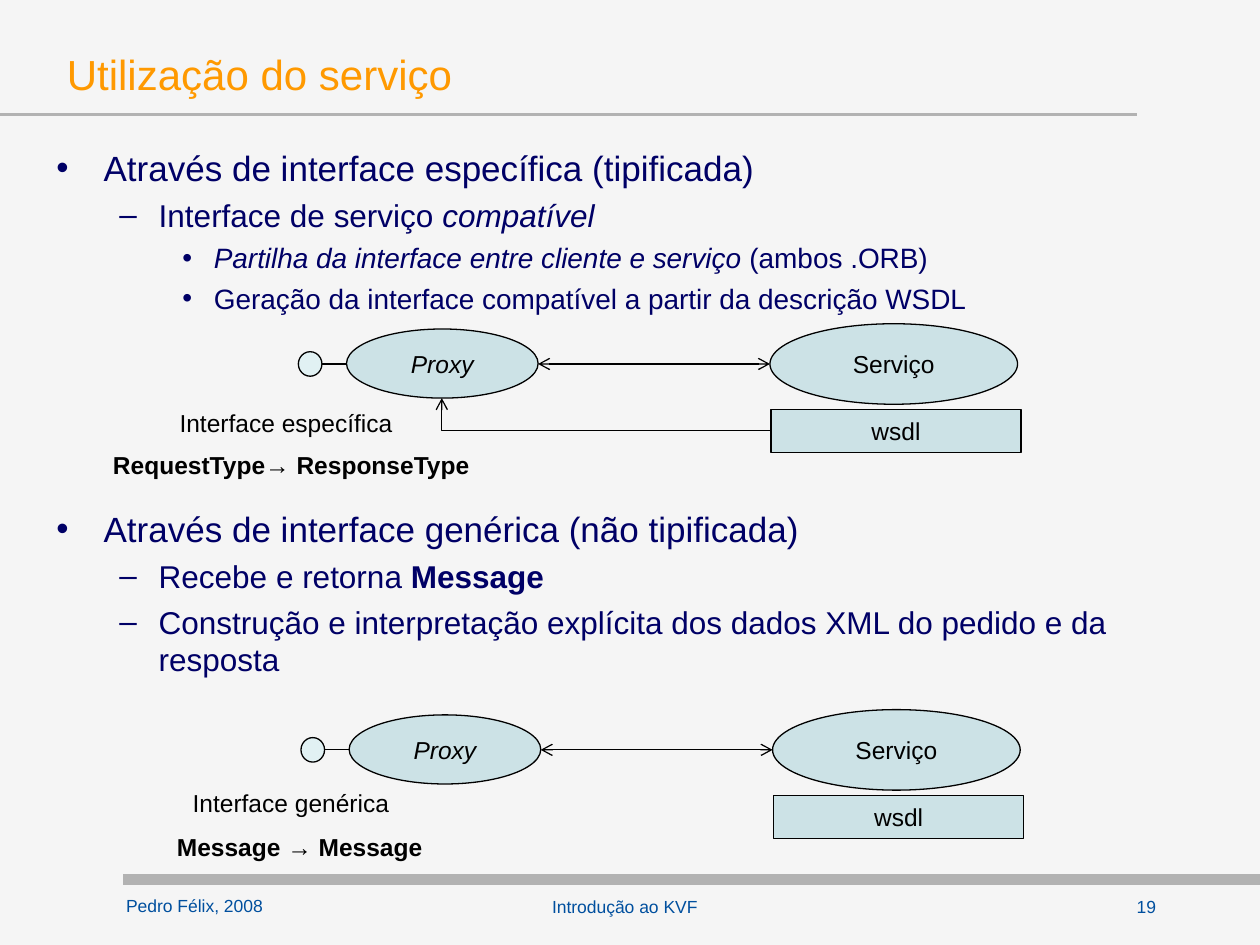
from lxml.etree import SubElement
from pptx import Presentation
from pptx.dml.color import RGBColor
from pptx.enum.shapes import MSO_CONNECTOR as LINK, MSO_SHAPE as FORM
from pptx.enum.text import MSO_ANCHOR, MSO_AUTO_SIZE, PP_ALIGN
from pptx.oxml.ns import qn
from pptx.util import Pt

FACE = "Arial"
BLACK, NAVY, BLUE, ORANGE = "000000", "000066", "004F9E", "FF9900"
GREY, PALE, TEAL, BACK = "B2B2B2", "E1F1F3", "CCE2E6", "F5F5F5"

# Per level: bullet, left margin, hanging indent, text size
LEVELS = [("•", 27, 27, 20), ("–", 58.5, 22.5, 18), ("•", 90, 18, 16)]
GAP = 110  # room for the first diagram

# Level, space before, runs of (text, style)
ITEMS = [
    (0, 0, [("Através de interface específica (tipificada)", "")]),
    (1, 4.4, [("Interface de serviço ", ""), ("compatível", "i")]),
    (2, 4, [("Partilha da interface entre cliente e serviço ", "i"),
            ("(ambos .ORB)", "")]),
    (2, 4, [("Geração da interface compatível a partir da descrição WSDL", "")]),
    (0, GAP, [("Através de interface genérica (não tipificada)", "")]),
    (1, 4.4, [("Recebe e retorna ", ""), ("Message", "b")]),
    (1, 4.4, [("Construção e interpretação explícita dos dados XML "
               "do pedido e da resposta", "")]),
]


def color(code):
    return RGBColor.from_string(code)


def style(para, size, code, bold=None, italic=None):
    font = para.font
    font.name, font.size = FACE, Pt(size)
    font.bold, font.italic = bold, italic
    font.color.rgb = color(code)


def place(shape, left, top, width, height):
    shape.left, shape.top = Pt(left), Pt(top)
    shape.width, shape.height = Pt(width), Pt(height)


def title(slide, text):
    shape = slide.shapes.title
    place(shape, 31, 20, 646.5, 44)
    frame = shape.text_frame
    frame.text = text
    frame.auto_size = MSO_AUTO_SIZE.NONE
    frame.vertical_anchor = MSO_ANCHOR.MIDDLE
    frame.paragraphs[0].alignment = PP_ALIGN.LEFT
    style(frame.paragraphs[0], 24, ORANGE)


def body(slide):
    shape = slide.placeholders[1]
    place(shape, 25, 80, 659, 411)
    frame = shape.text_frame
    frame.auto_size = MSO_AUTO_SIZE.NONE
    for num, (level, space, runs) in enumerate(ITEMS):
        para = frame.add_paragraph() if num else frame.paragraphs[0]
        mark, left, hang, size = LEVELS[level]
        para.level = level
        para.space_before = Pt(space)
        props = para._p.get_or_add_pPr()
        props.set("marL", str(Pt(left)))
        props.set("indent", str(-Pt(hang)))
        SubElement(props, qn("a:buChar"), char=mark)
        style(para, size, NAVY)
        for text, look in runs:
            run = para.add_run()
            run.text = text
            if look:
                run.font.bold = look == "b"
                run.font.italic = look == "i"


def label(slide, text, left, top, width, size=14, code=BLACK,
          bold=None, align=PP_ALIGN.LEFT):
    box = slide.shapes.add_textbox(Pt(left), Pt(top), Pt(width), Pt(24))
    box.text_frame.text = text
    para = box.text_frame.paragraphs[0]
    para.alignment = align
    style(para, size, code, bold)


def node(slide, form, left, top, width, height, text="", fill=TEAL, italic=None):
    shape = slide.shapes.add_shape(form, Pt(left), Pt(top), Pt(width), Pt(height))
    shape.shadow.inherit = False
    shape.fill.solid()
    shape.fill.fore_color.rgb = color(fill)
    shape.line.color.rgb = color(BLACK)
    shape.line.width = Pt(0.75)
    if text:
        frame = shape.text_frame
        frame.text = text
        frame.word_wrap = False
        frame.vertical_anchor = MSO_ANCHOR.MIDDLE
        frame.paragraphs[0].alignment = PP_ALIGN.CENTER
        style(frame.paragraphs[0], 14, BLACK, italic=italic)


def link(slide, start, end, code=BLACK, width=0.75, heads=(), bent=False):
    kind = LINK.ELBOW if bent else LINK.STRAIGHT
    line = slide.shapes.add_connector(kind, *map(Pt, start + end))
    line.line.color.rgb = color(code)
    line.line.width = Pt(width)
    props = line._element.spPr
    if bent:  # a single corner
        props.find(qn("a:prstGeom")).set("prst", "bentConnector2")
    for head in heads:
        SubElement(props.find(qn("a:ln")), qn("a:" + head), type="arrow")
    SubElement(props, qn("a:effectLst"))


def scheme(slide, x, y):
    """Proxy and service, from the left edge of the proxy and the axis."""
    node(slide, FORM.OVAL, x, y - 20, 109.5, 39.5, "Proxy", italic=True)
    node(slide, FORM.RECTANGLE, x + 242.5, y + 26, 143, 24.5, "wsdl")
    node(slide, FORM.OVAL, x + 242, y - 23, 141.5, 46, "Serviço")
    link(slide, (x, y), (x - 14, y))
    node(slide, FORM.OVAL, x - 27.5, y - 7, 13.5, 14, fill=PALE)
    link(slide, (x + 109.5, y), (x + 242, y), heads=("headEnd", "tailEnd"))


def main():
    deck = Presentation()
    deck.slide_width, deck.slide_height = Pt(720), Pt(540)
    slide = deck.slides.add_slide(deck.slide_layouts[1])
    slide.background.fill.solid()
    slide.background.fill.fore_color.rgb = color(BACK)

    # Rules and footer
    link(slide, (70.5, 502.5), (720, 502.5), GREY, 6)
    link(slide, (0, 65.5), (649.5, 65.5), GREY, 1.5)
    mid = PP_ALIGN.CENTER
    label(slide, "Pedro Félix, 2008", 65, 508, 94, 10, BLUE)
    label(slide, "Introdução ao KVF", 178.5, 508.5, 357, 10, BLUE, align=mid)
    label(slide, "19", 626.5, 508.5, 57, 10, BLUE, align=mid)

    title(slide, "Utilização do serviço")
    body(slide)

    # Specific interface
    scheme(slide, 198, 208)
    link(slide, (440.5, 246), (252.5, 227.5), heads=("tailEnd",), bent=True)
    label(slide, "Interface específica", 95.5, 229.5, 137)
    label(slide, "RequestType→ ResponseType", 57.5, 253.5, 219, bold=True)

    # Generic interface
    scheme(slide, 199.5, 428.5)
    label(slide, "Interface genérica", 103, 447, 127.5)
    label(slide, "Message → Message", 94, 472, 155.5, bold=True)

    deck.save("out.pptx")


if __name__ == "__main__":
    main()
